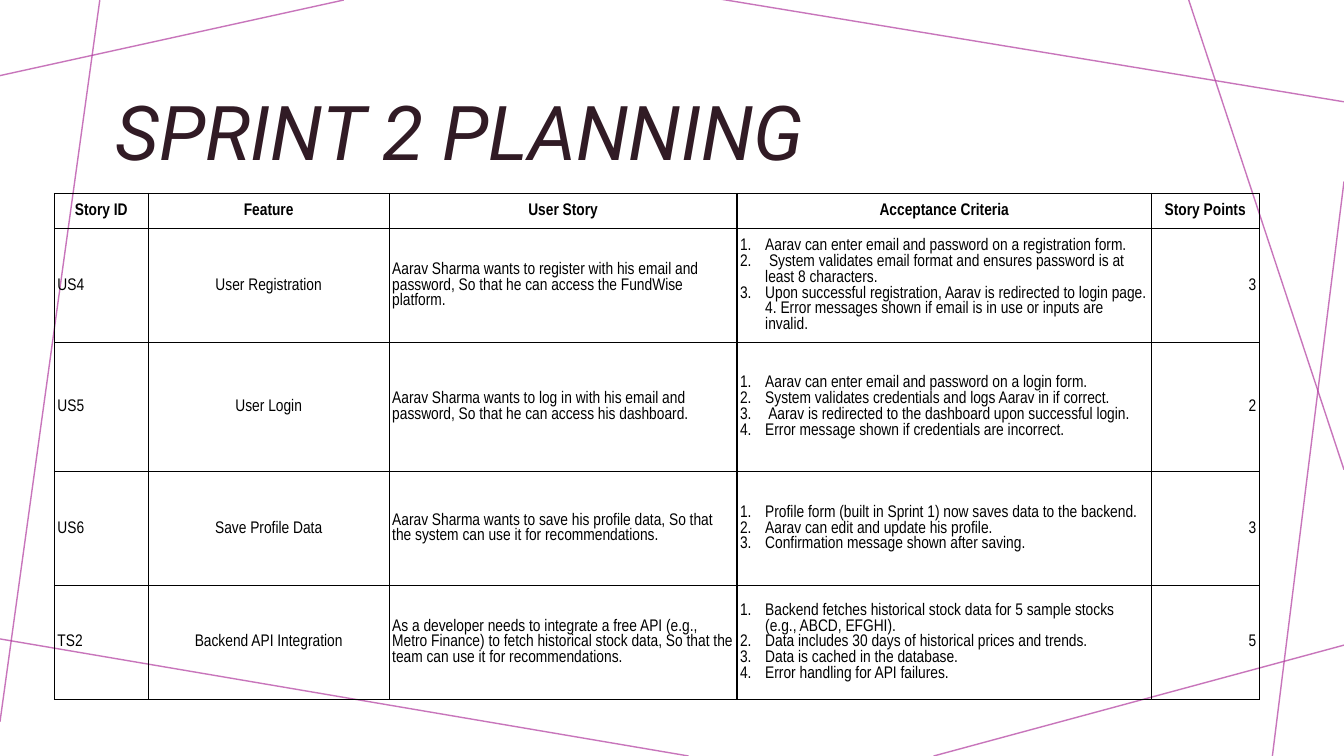
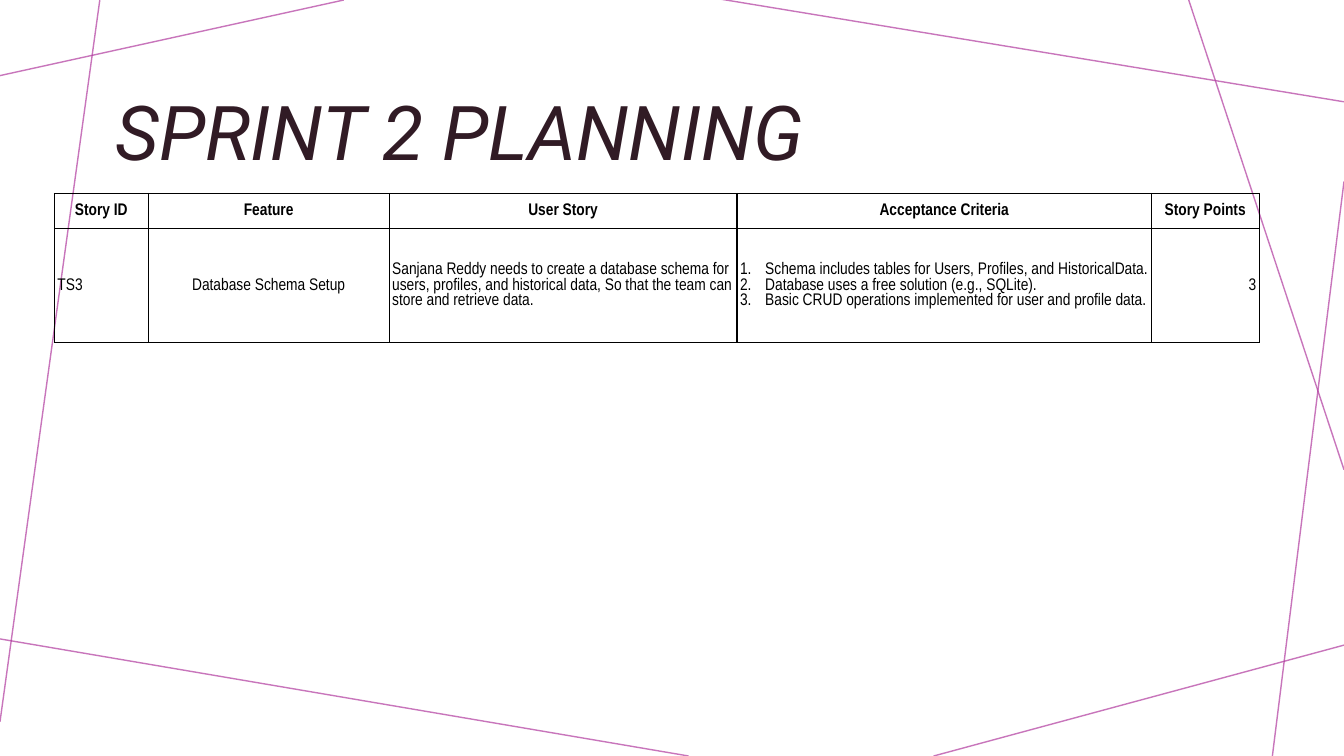
import lxml.etree
import pptx
import pptx.dml.color
import pptx.enum.shapes
import pptx.enum.text
import pptx.oxml.ns
import pptx.util

Inches = pptx.util.Inches
Pt = pptx.util.Pt
ALIGN = pptx.enum.text.PP_ALIGN
ANCHOR = pptx.enum.text.MSO_ANCHOR
qn = pptx.oxml.ns.qn

COLORS = {"accent": "B13B9F", "title": "311B25", "ink": "000000"}
TITLE_FONT = "Roboto"
TABLE_FONT = "Arial Narrow"
TITLE = "SPRINT 2 PLANNING"
TITLE_BOX = (1.05, 0.59, 10.46, 1.21)
TABLE_ORIGIN = (0.54, 1.92)
COLUMN_WIDTHS = (0.93, 2.39, 3.45, 4.11, 1.07)
COLUMN_ALIGNS = (ALIGN.LEFT, ALIGN.CENTER, ALIGN.LEFT, ALIGN.LEFT, ALIGN.RIGHT)
HEADINGS = ("Story ID", "Feature", "User Story", "Acceptance Criteria", "Story Points")
HEADER_HEIGHT = 0.35
CRITERIA_COLUMN = 3
BACKGROUND_LINES = (
    (3.41, 0, 0, 0.75),
    (0.99, 0, 0, 7.16),
    (6.83, 7.5, -0.05, 6.33),
    (13.33, 6.4, 9.26, 7.5),
    (13.33, 1.8, 12.62, 7.5),
    (13.33, 4.66, 11.79, 0),
    (13.33, 1.01, 7.14, -0.01),
)

SPRINT_PAGES = (
    (
        (1.13, "US4", "User Registration",
         "Aarav Sharma wants to register with his email and password, "
         "So that he can access the FundWise platform.",
         ("Aarav can enter email and password on a registration form.",
          " System validates email format and ensures password is at least 8 characters.",
          "Upon successful registration, Aarav is redirected to login page. "
          "4. Error messages shown if email is in use or inputs are invalid."),
         "3"),
        (1.28, "US5", "User Login",
         "Aarav Sharma wants to log in with his email and password, "
         "So that he can access his dashboard.",
         ("Aarav can enter email and password on a login form.",
          "System validates credentials and logs Aarav in if correct.",
          " Aarav is redirected to the dashboard upon successful login.",
          "Error message shown if credentials are incorrect."),
         "2"),
        (1.13, "US6", "Save Profile Data",
         "Aarav Sharma wants to save his profile data, "
         "So that the system can use it for recommendations.",
         ("Profile form (built in Sprint 1) now saves data to the backend.",
          "Aarav can edit and update his profile.",
          "Confirmation message shown after saving."),
         "3"),
        (1.13, "TS2", "Backend API Integration",
         "As a developer needs to integrate a free API (e.g., Metro Finance) "
         "to fetch historical stock data, "
         "So that the team can use it for recommendations.",
         ("Backend fetches historical stock data for 5 sample stocks (e.g., ABCD, EFGHI).",
          "Data includes 30 days of historical prices and trends.",
          "Data is cached in the database.",
          "Error handling for API failures."),
         "5"),
    ),
    (
        (1.13, "TS3", "Database Schema Setup",
         "Sanjana Reddy needs to create a database schema for users, profiles, "
         "and historical data, So that the team can store and retrieve data.",
         ("Schema includes tables for Users, Profiles, and HistoricalData.",
          "Database uses a free solution (e.g., SQLite).",
          "Basic CRUD operations implemented for user and profile data."),
         "3"),
    ),
)


def rgb(name):
    """Return the named colour."""
    return pptx.dml.color.RGBColor.from_string(COLORS[name])


def style_font(font, name, size, color, bold=False, italic=False):
    """Apply a complete text style to a font."""
    font.name = name
    font.size = Pt(size)
    font.bold = bold
    font.italic = italic
    font.color.rgb = rgb(color)


def add_background(page, layout):
    """Draw the crossing lines and hand them to the shared layout."""
    for number, ends in enumerate(BACKGROUND_LINES):
        line = page.shapes.add_connector(
            pptx.enum.shapes.MSO_CONNECTOR.STRAIGHT, *map(Inches, ends))
        line.line.color.rgb = rgb("accent")
        line.line.width = Pt(1)
        properties = line.element.spPr
        color = next(properties.iter(qn("a:srgbClr")))
        lxml.etree.SubElement(color, qn("a:alpha"), val="70000")
        lxml.etree.SubElement(properties, qn("a:effectLst"))
        next(line.element.iter(qn("p:cNvPr"))).set("id", str(100 + number))
        layout.shapes.element.append(line.element)


def add_title(page, box, text):
    """Fill and place the title placeholder."""
    title = page.shapes.title
    title.left, title.top, title.width, title.height = map(Inches, box)
    frame = title.text_frame
    frame.text = text
    frame.word_wrap = True
    frame.auto_size = pptx.enum.text.MSO_AUTO_SIZE.NONE
    frame.vertical_anchor = ANCHOR.BOTTOM
    para = frame.paragraphs[0]
    para.alignment = ALIGN.LEFT
    para.line_spacing = 0.9
    style_font(para.runs[0].font, TITLE_FONT, 54, "title", italic=True)


def frame_cell(cell, side_margin, end_margin):
    """Give a cell its margins, thin border and empty fill."""
    cell.margin_left = cell.margin_right = Inches(side_margin)
    cell.margin_top = cell.margin_bottom = Inches(end_margin)
    cell.vertical_anchor = ANCHOR.MIDDLE
    properties = cell._tc.get_or_add_tcPr()
    for side in ("lnL", "lnR", "lnT", "lnB"):
        border = lxml.etree.SubElement(properties, qn("a:" + side), w=str(Pt(1)))
        fill = lxml.etree.SubElement(border, qn("a:solidFill"))
        lxml.etree.SubElement(fill, qn("a:srgbClr"), val=COLORS["ink"])
    cell.fill.background()


def number_paragraph(para):
    """Turn a paragraph into a numbered item with a hanging indent."""
    properties = para._p.get_or_add_pPr()
    properties.set("marL", str(Inches(0.25)))
    properties.set("indent", str(-Inches(0.25)))
    lxml.etree.SubElement(properties, qn("a:buAutoNum"), type="arabicPeriod")


def fill_cell(cell, lines, align, bold=False, numbered=False):
    """Write one paragraph per line into a cell."""
    cell.text_frame.text = "\n".join(lines)
    for para in cell.text_frame.paragraphs:
        if numbered:
            number_paragraph(para)
        para.alignment = align
        for span in para.runs:
            style_font(span.font, TABLE_FONT, 12, "ink", bold=bold)


def add_story_table(page, origin, stories):
    """Add the table of stories with its top left corner at the origin."""
    heights = [HEADER_HEIGHT] + [story[0] for story in stories]
    box = (*origin, sum(COLUMN_WIDTHS), sum(heights))
    table = page.shapes.add_table(
        len(heights), len(COLUMN_WIDTHS), *map(Inches, box)).table
    table.first_row = table.horz_banding = False
    for column, width in zip(table.columns, COLUMN_WIDTHS):
        column.width = Inches(width)
    for row, height in zip(table.rows, heights):
        row.height = Inches(height)
    for index, heading in enumerate(HEADINGS):
        cell = table.cell(0, index)
        frame_cell(cell, 0.02, 0.01)
        fill_cell(cell, [heading], ALIGN.CENTER, bold=True)
    for row_index, (_, *values) in enumerate(stories, 1):
        for index, value in enumerate(values):
            cell = table.cell(row_index, index)
            numbered = index == CRITERIA_COLUMN
            frame_cell(cell, 0.03, 0.02)
            fill_cell(cell, value if numbered else [value],
                      COLUMN_ALIGNS[index], numbered=numbered)


def main():
    """Build the sprint planning deck."""
    deck = pptx.Presentation()
    deck.slide_width = Inches(13.33)
    deck.slide_height = Inches(7.5)
    layout = deck.slide_layouts[5]
    for index, stories in enumerate(SPRINT_PAGES):
        page = deck.slides.add_slide(layout)
        if index == 0:
            add_background(page, layout)
        add_title(page, TITLE_BOX, TITLE)
        add_story_table(page, TABLE_ORIGIN, stories)
    deck.save("out.pptx")


if __name__ == "__main__":
    main()
